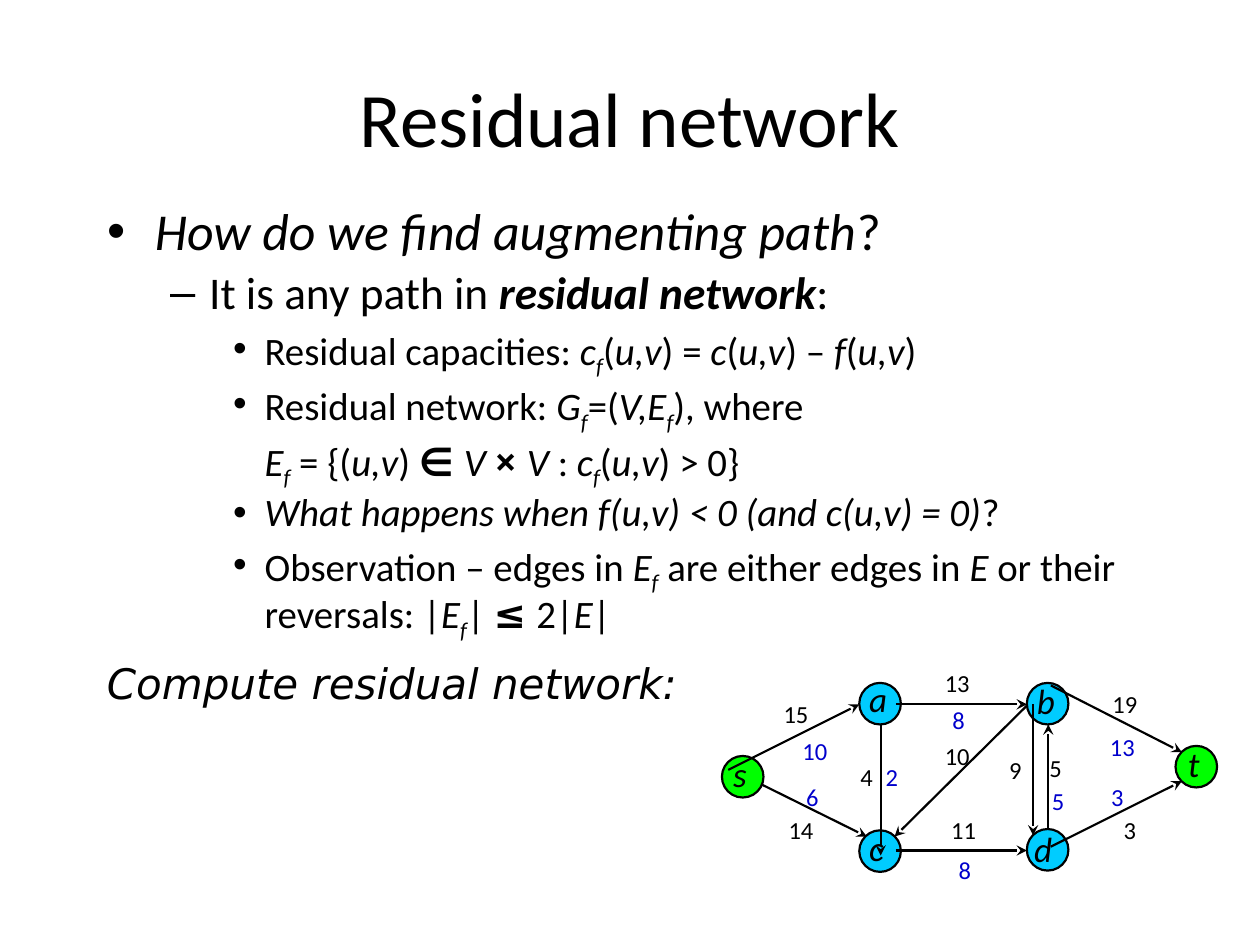
import pptx
import pptx.dml.color
import pptx.enum.shapes
import pptx.enum.text
import pptx.oxml
import pptx.oxml.ns
import pptx.util
from dataclasses import dataclass
from pptx.util import Inches


@dataclass(frozen=True)
class Theme:
    font: str = "Calibri"
    symbol_font: str = "Noto Sans"
    prompt_font: str = "DejaVu Sans"
    black: str = "000000"
    flow: str = "0000CC"
    inner: str = "00CCFF"
    terminal: str = "00FF00"
    title_size: float = 44
    level_sizes: tuple = (29.6, 25.9, 22.2)
    prompt_size: float = 24
    node_size: float = 20
    label_size: float = 14
    line_width: float = 1.25


theme = Theme()
rgb = pptx.dml.color.RGBColor.from_string


def add_run(paragraph, text, size, style="", color=theme.black, font=theme.font):
    """Style letters: i italic, b bold, s italic subscript, m bold symbol."""
    run = paragraph.add_run()
    run.text = text
    run.font.name = theme.symbol_font if "m" in style else font
    run.font.size = pptx.util.Pt(size)
    run.font.color.rgb = rgb(color)
    run.font.italic = "i" in style or "s" in style
    run.font.bold = "b" in style or "m" in style
    if "s" in style:
        run._r.get_or_add_rPr().set("baseline", "-25000")


def add_label(left, top, width, height, text, size, **look):
    box = slide.shapes.add_textbox(Inches(left), Inches(top), Inches(width), Inches(height))
    box.text_frame.word_wrap = True
    add_run(box.text_frame.paragraphs[0], text, size, **look)


presentation = pptx.Presentation()
presentation.slide_width = Inches(10)
presentation.slide_height = Inches(7.5)
slide = presentation.slides.add_slide(presentation.slide_layouts[1])

title, body = slide.placeholders
for placeholder, box in ((title, (0.5, 0.3, 9, 1.25)), (body, (0.75, 1.58, 9.12, 3.42))):
    placeholder.left, placeholder.top, placeholder.width, placeholder.height = map(Inches, box)
    placeholder.text_frame.auto_size = pptx.enum.text.MSO_AUTO_SIZE.NONE
    placeholder.text_frame.word_wrap = True
title.text_frame.vertical_anchor = pptx.enum.text.MSO_ANCHOR.MIDDLE
heading = title.text_frame.paragraphs[0]
heading.alignment = pptx.enum.text.PP_ALIGN.CENTER
add_run(heading, "Residual network", theme.title_size)

# Level, bullet, runs of (text, style)
outline = [
    (0, "•", [("How do we find augmenting path", "i"), ("?", "")]),
    (1, "–", [("It is any path in ", ""), ("residual network", "bi"), (":", "")]),
    (2, "•", [("Residual capacities: ", ""), ("c", "i"), ("f", "s"), ("(", ""), ("u,v", "i"),
              (") = ", ""), ("c", "i"), ("(", ""), ("u,v", "i"), (") – ", ""), ("f", "i"),
              ("(", ""), ("u,v", "i"), (")", "")]),
    (2, "•", [("Residual network: ", ""), ("G", "i"), ("f", "s"), ("=(", ""), ("V,E", "i"),
              ("f", "s"), ("), where", "")]),
    (2, None, [("E", "i"), ("f", "s"), (" = {(", ""), ("u,v", "i"), (") ", ""), ("∈ ", "m"),
               ("V ", "i"), ("× ", "m"), ("V ", "i"), (": ", ""), ("c", "i"), ("f", "s"),
               ("(", ""), ("u,v", "i"), (") > 0}", "")]),
    (2, "•", [("What happens when f(u,v) < 0 (and c(u,v) = 0)", "i"), ("?", "")]),
    (2, "•", [("Observation – edges in ", ""), ("E", "i"), ("f", "s"),
              (" are either edges in ", ""), ("E ", "i"), ("or their reversals: |", ""),
              ("E", "i"), ("f", "s"), ("| ", ""), ("≤ ", "m"), ("2|", ""), ("E", "i"),
              ("|", "")]),
]
margins = ((0.38, -0.38), (0.81, -0.31), (1.25, -0.25))
space_before = (0, 5.2, 4.4)
for index, (level, bullet, runs) in enumerate(outline):
    paragraph = body.text_frame.add_paragraph() if index else body.text_frame.paragraphs[0]
    paragraph.level = level
    paragraph.line_spacing = 0.9
    paragraph.space_before = pptx.util.Pt(space_before[level])
    margin, indent = margins[level]
    properties = paragraph._p.get_or_add_pPr()
    properties.set("marL", str(Inches(margin)))
    properties.set("indent", str(Inches(indent if bullet else 0)))
    if bullet:
        mark = pptx.oxml.ns.qn("a:buChar")
        properties.append(properties.makeelement(mark, {"char": bullet}))
    else:
        properties.append(properties.makeelement(pptx.oxml.ns.qn("a:buNone"), {}))
    for text, style in runs:
        add_run(paragraph, text, theme.level_sizes[level], style)

add_label(0.75, 5.17, 9.12, 0.67, "Compute residual network:", theme.prompt_size,
          style="i", font=theme.prompt_font)

# Flow network: edges run from start to arrow tip
edges_below = [
    (8.32, 6.79, 8.32, 5.75),  # d to b
    (5.83, 6.12, 6.88, 6.64),  # s to c
]
edges_above = [
    (7.11, 5.59, 8.15, 5.59),  # a to b
    (7.11, 6.75, 8.15, 6.75),  # c to d
    (6.99, 5.75, 6.99, 6.79),  # a to c
    (5.78, 6.11, 6.82, 5.59),  # s to a
    (8.15, 5.6, 7.1, 6.64),    # b to c
    (8.2, 5.59, 8.2, 6.63),    # b to d
    (8.34, 5.44, 9.38, 5.97),  # b to t
    (8.34, 6.72, 9.38, 6.2),   # d to t
]
# Name, circle left and top, fill, letter box left, top and width
nodes = [
    ("s", 5.73, 6, theme.terminal, 5.72, 5.92, 0.35),
    ("a", 6.82, 5.42, theme.inner, 6.8, 5.33, 0.37),
    ("b", 8.15, 5.42, theme.inner, 8.13, 5.34, 0.38),
    ("c", 6.82, 6.59, theme.inner, 6.8, 6.51, 0.35),
    ("d", 8.15, 6.58, theme.inner, 8.11, 6.52, 0.38),
    ("t", 9.33, 5.92, theme.terminal, 9.33, 5.84, 0.31),
]
diameter = Inches(0.33)

for edges, circles in ((edges_below, nodes), (edges_above, [])):
    for ends in edges:
        edge = slide.shapes.add_connector(
            pptx.enum.shapes.MSO_CONNECTOR.STRAIGHT, *map(Inches, ends))
        edge.line.color.rgb = rgb(theme.black)
        edge.line.width = pptx.util.Pt(theme.line_width)
        line = edge.line._get_or_add_ln()
        line.append(line.makeelement(pptx.oxml.ns.qn("a:tailEnd"), {"type": "stealth"}))
        shape_properties = edge._element.spPr
        shape_properties.append(
            shape_properties.makeelement(pptx.oxml.ns.qn("a:effectLst"), {}))
    for name, left, top, fill, *letter_box in circles:
        circle = slide.shapes.add_shape(
            pptx.enum.shapes.MSO_SHAPE.OVAL, Inches(left), Inches(top), diameter, diameter)
        circle.shadow.inherit = False
        circle.fill.solid()
        circle.fill.fore_color.rgb = rgb(fill)
        circle.line.color.rgb = rgb(theme.black)
        circle.line.width = pptx.util.Pt(theme.line_width)

for name, left, top, fill, *letter_box in nodes:
    add_label(*letter_box, 0.43, name, theme.node_size, style="i")

capacities = [("13", 7.4, 5.25), ("11", 7.45, 6.42), ("5", 8.23, 5.93), ("4", 6.73, 6),
              ("15", 6.12, 5.5), ("10", 7.4, 5.83), ("14", 6.16, 6.42), ("19", 8.73, 5.42),
              ("3", 8.82, 6.42), ("9", 7.91, 5.94)]
flows = [("5", 8.25, 6.19), ("13", 8.71, 5.76), ("3", 8.72, 6.16), ("8", 7.51, 6.74),
         ("6", 6.3, 6.16), ("10", 6.27, 5.79), ("8", 7.46, 5.55), ("2", 6.93, 6)]
for values, color in ((capacities, theme.black), (flows, theme.flow)):
    for value, left, top in values:
        width = 0.45 if len(value) == 2 else 0.32
        add_label(left, top, width, 0.33, value, theme.label_size, color=color)

presentation.save("out.pptx")
